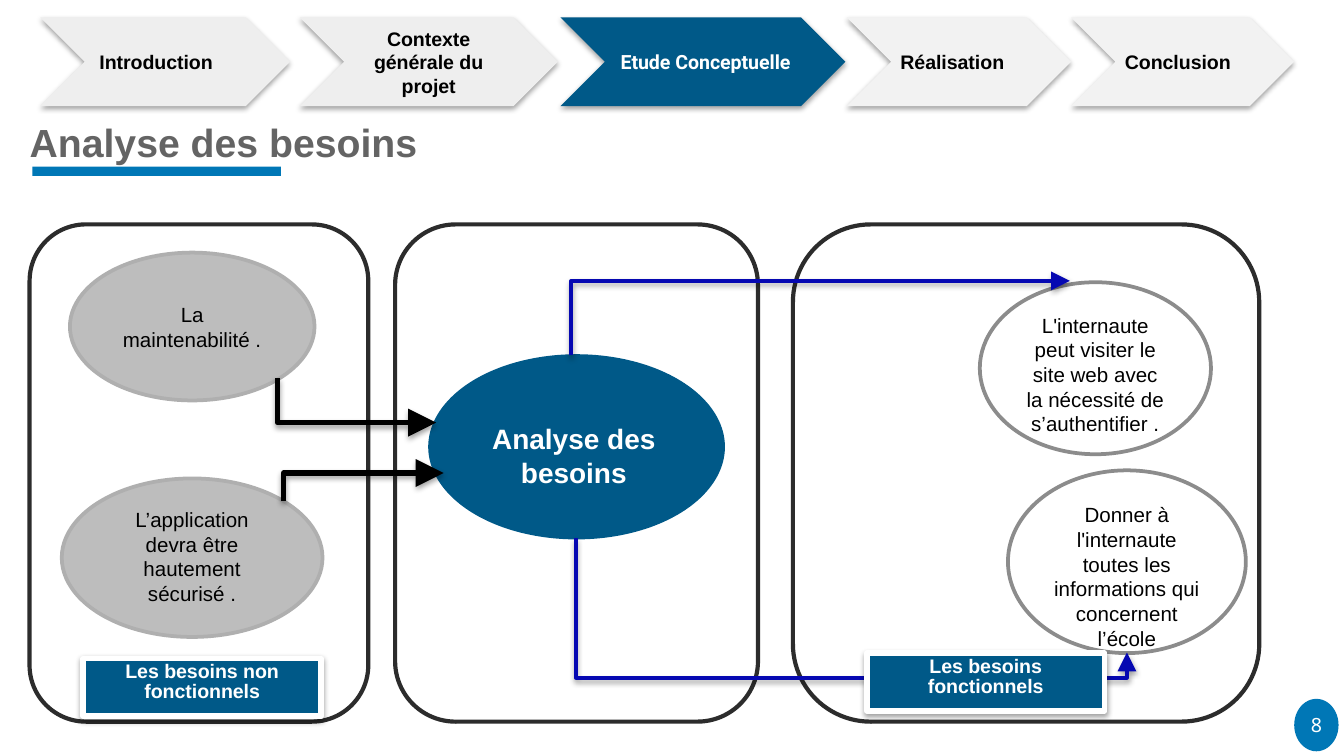
import pptx
import pptx.util
import pptx.dml.color
import pptx.enum.shapes
import pptx.enum.text
import pptx.oxml
import pptx.oxml.ns
import lxml.etree

Inches = pptx.util.Inches
Pt = pptx.util.Pt
qn = pptx.oxml.ns.qn
Kind = pptx.enum.shapes.MSO_SHAPE
Link = pptx.enum.shapes.MSO_CONNECTOR
Align = pptx.enum.text.PP_ALIGN
Anchor = pptx.enum.text.MSO_ANCHOR


def paint(fill, color):
    if color is None:
        fill.background()
    else:
        fill.solid()
        fill.fore_color.rgb = pptx.dml.color.RGBColor.from_string(color)


def write(shape, text, size=11, font="Arial", color="000000", bold=False,
          align=Align.CENTER, anchor=Anchor.TOP, inset=(0.07, 0.04, 0.07, 0.04),
          wrap=True, space=1.0):
    frame = shape.text_frame
    frame.auto_size = pptx.enum.text.MSO_AUTO_SIZE.NONE
    frame.word_wrap = wrap
    frame.vertical_anchor = anchor
    (frame.margin_left, frame.margin_top,
     frame.margin_right, frame.margin_bottom) = map(Inches, inset)
    para = frame.paragraphs[0]
    para.alignment = align
    para.line_spacing = space
    run = para.add_run()
    run.text = text
    run.font.name = font
    run.font.size = Pt(size)
    run.font.bold = bold
    paint(run.font.fill, color)


# Widescreen slide, 16 to 9
deck = pptx.Presentation()
deck.slide_width = Inches(10)
deck.slide_height = Inches(10) * 9 // 16
slide = deck.slides.add_slide(deck.slide_layouts[5])
shapes = slide.shapes
raised = []

# Title
title = shapes.title
title.left, title.top, title.width, title.height = map(Inches, (0.22, 0.88, 9.02, 0.39))
write(title, "Analyse des besoins", size=21, color="646464", bold=True,
      align=Align.LEFT, inset=(0, 0, 0, 0))

# Three rounded frames
for left, width in ((0.22, 2.52), (2.94, 2.7), (5.9, 3.47)):
    frame = shapes.add_shape(Kind.ROUNDED_RECTANGLE, Inches(left), Inches(1.67),
                             Inches(width), Inches(3.7))
    frame.shadow.inherit = False
    paint(frame.fill, None)
    paint(frame.line.fill, "2C2C2C")
    frame.line.width = Pt(2.25)

# Ovals: needs around the central topic
plain = {}
topic = {"size": 15, "color": "FFFFFF", "bold": True, "inset": (0.05, 0.29, 0.09, 0.04)}
ovals = (
    ((0.52, 1.88, 1.82, 1.1), "BDBDBD", "AFAFAF", "La maintenabilité .",
     {"anchor": Anchor.MIDDLE}),
    ((0.46, 3.56, 1.94, 1.18), "BDBDBD", "AFAFAF",
     "L’application devra être hautement sécurisé .", plain),
    ((3.2, 2.65, 2.18, 1.35), "005988", "005988", "Analyse des besoins", topic),
    ((7.29, 2.1, 1.72, 1.28), None, "8C8C8C",
     "L'internaute peut visiter le site web avec la nécessité de s’authentifier .", plain),
    ((7.5, 3.5, 1.77, 1.36), None, "8C8C8C",
     "Donner à l'internaute toutes les informations qui concernent l’école", plain),
)
for box, fill, edge, text, style in ovals:
    oval = shapes.add_shape(Kind.OVAL, *map(Inches, box))
    oval.shadow.inherit = False
    paint(oval.fill, fill)
    paint(oval.line.fill, edge)
    oval.line.width = Pt(2)
    write(oval, text, **style)

# Elbow arrows: unturned box, turn in degrees, flips, bends, colour, width
arrows = (
    ((2.49, 2.39, 0.33, 1.18), 270, "H", 2, "000000", 3),
    ((2.6, 3.03, 0.21, 1.19), 90, "HV", 2, "000000", 3),
    ((5.83, 0.51, 0.55, 3.71), 90, "HV", 2, "0608B2", 2),
    ((5.91, 2.38, 0.85, 4.1), 270, "H", 3, "0608B2", 2),
)
for (left, top, width, height), turn, flips, bends, color, weight in arrows:
    arrow = shapes.add_connector(Link.ELBOW, Inches(left), Inches(top),
                                 Inches(left + width), Inches(top + height))
    paint(arrow.line.fill, color)
    arrow.line.width = Pt(weight)
    props = arrow._element.spPr
    frame = props.find(qn("a:xfrm"))
    frame.set("rot", str(turn * 60000))
    for flip in flips:
        frame.set("flip" + flip, "1")
    shape = props.find(qn("a:prstGeom"))
    shape.set("prst", f"bentConnector{bends}")
    if bends == 3:
        guides = shape.find(qn("a:avLst"))
        if guides is None:
            guides = lxml.etree.SubElement(shape, qn("a:avLst"))
        lxml.etree.SubElement(guides, qn("a:gd"), name="adj1", fmla="val 122100")
    lxml.etree.SubElement(props.find(qn("a:ln")), qn("a:tailEnd"),
                          type="triangle", w="lg", len="lg")
    lxml.etree.SubElement(props, qn("a:effectLst"))
    raised.append(arrow)

# Frame labels
for left, top, text in ((0.62, 4.9, "Les besoins non fonctionnels"),
                        (6.45, 4.86, "Les besoins fonctionnels")):
    label = shapes.add_shape(Kind.RECTANGLE, Inches(left), Inches(top),
                             Inches(1.77), Inches(0.43))
    label.shadow.inherit = False
    paint(label.fill, "005988")
    paint(label.line.fill, "FFFFFF")
    label.line.width = Pt(3)
    write(label, text, size=10.5, color="FFFFFF", bold=True,
          inset=(0.1, 0.03, 0.1, 0), space=0.85)
    raised.append(label)

# Title rule and page number
rule = shapes.add_shape(Kind.RECTANGLE, Inches(0.24), Inches(1.24), Inches(1.85), Inches(0.07))
badge = shapes.add_shape(Kind.OVAL, Inches(9.63), Inches(5.2), Inches(0.33), Inches(0.39))
for mark in (rule, badge):
    mark.shadow.inherit = False
    paint(mark.fill, "0077B6")
    paint(mark.line.fill, None)
write(badge, "8", size=10.5, font="Noto Sans", color="FFFFFF",
      anchor=Anchor.MIDDLE, wrap=False)

# Chevron steps
pad = (0.07, 0.07, 0.07, 0.07)
steps = (
    (0.3, 1.86, "EEEEEE", "Introduction",
     {"align": Align.LEFT, "inset": (0.11, 0.07, 0.07, 0.07)}),
    (2.23, 1.92, "EEEEEE", "Contexte générale du projet", {"inset": pad}),
    (4.17, 2.12, "005988", "Etude Conceptuelle",
     {"font": "Roboto", "color": "FFFFFF", "inset": (0.04, 0, 0, 0)}),
    (6.3, 1.67, "F2F2F2", "Réalisation", {"align": Align.LEFT, "inset": pad}),
    (7.97, 1.66, "F2F2F2", "Conclusion", {"align": Align.LEFT, "inset": pad}),
)
for left, width, fill, text, style in steps:
    step = shapes.add_shape(Kind.CHEVRON, Inches(left), Inches(0.13),
                            Inches(width), Inches(0.66))
    step.shadow.inherit = False
    paint(step.fill, fill)
    paint(step.line.fill, None)
    write(step, text, size=10.5, bold=True, anchor=Anchor.MIDDLE, **style)
    raised.append(step)

# Soft shadows below the raised parts
for part in raised:
    effects = part._element.spPr.find(qn("a:effectLst"))
    shade = lxml.etree.SubElement(effects, qn("a:outerShdw"), blurRad=str(Pt(3.1)),
                                  dist=str(Pt(1.6)), dir="5400000", rotWithShape="0")
    tint = lxml.etree.SubElement(shade, qn("a:srgbClr"), val="000000")
    lxml.etree.SubElement(tint, qn("a:alpha"), val="37000")

deck.save("out.pptx")
